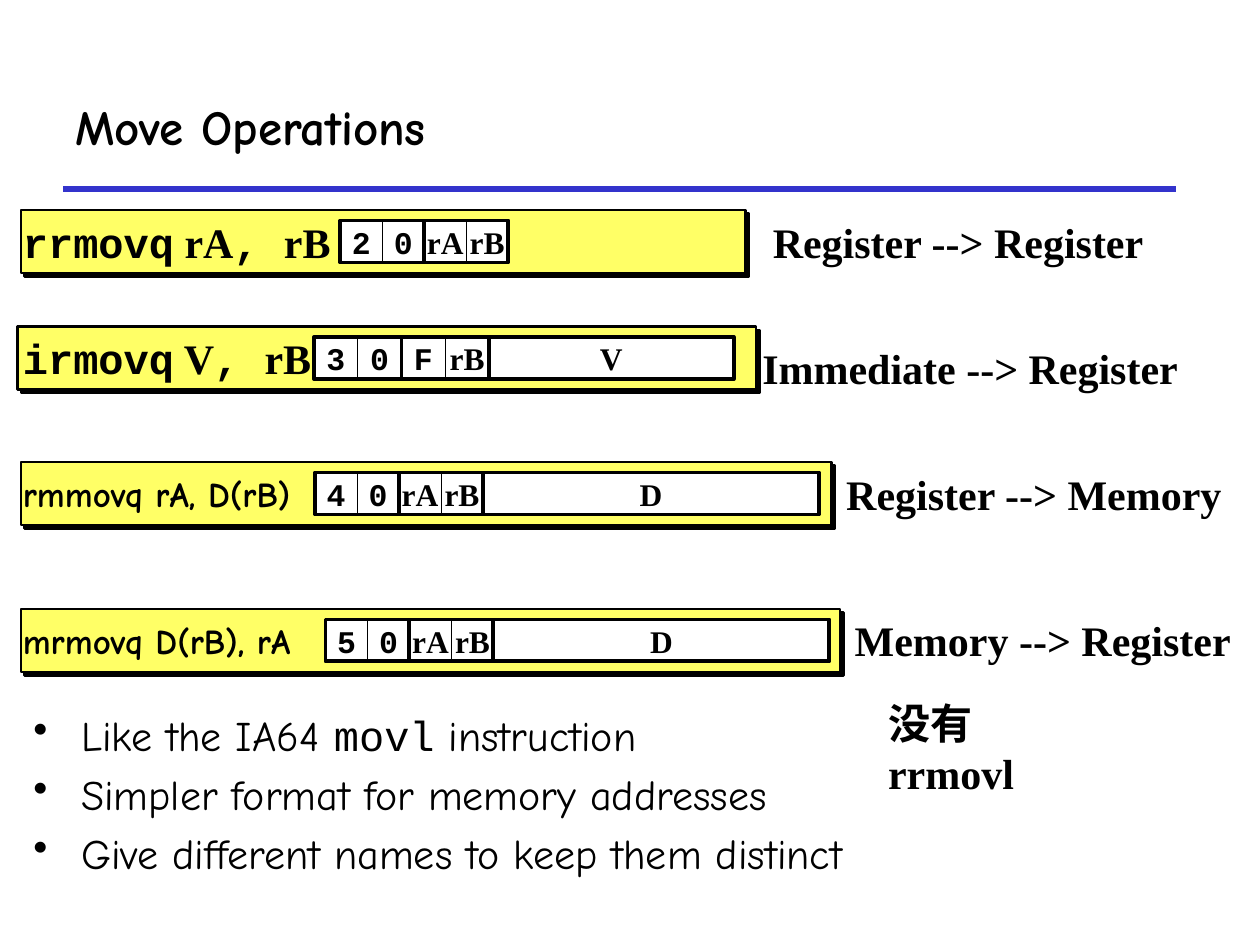
from lxml.etree import SubElement
from pptx import Presentation
from pptx.dml.color import RGBColor
from pptx.enum.shapes import MSO_CONNECTOR, MSO_SHAPE
from pptx.enum.text import MSO_ANCHOR, MSO_AUTO_SIZE, PP_ALIGN
from pptx.oxml.ns import qn
from pptx.util import Inches, Pt

COLORS = {"ink": "000000", "bar": "FFFF66", "cell": "FFFFFF", "rule": "3333CC"}
COMIC, MONO, SERIF = "Comic Neue", "Courier New", "Times New Roman"
COLS, ROWS = 120, 90


def grid(*cells):
    """Turn grid columns or rows, twelve to the inch, into lengths."""
    return [Inches(n / 12) for n in cells]


def rgb(name):
    """Look up a named colour."""
    return RGBColor.from_string(COLORS[name])


def put_text(sp, paragraphs, size=24, bold=True, align=PP_ALIGN.LEFT,
             anchor=MSO_ANCHOR.MIDDLE, margin=0.1, wrap=False, grow=False, bullet=False):
    """Fill a shape with paragraphs, each a list of (text, font) runs."""
    tf = sp.text_frame
    tf.word_wrap = wrap
    tf.auto_size = MSO_AUTO_SIZE.SHAPE_TO_FIT_TEXT if grow else MSO_AUTO_SIZE.NONE
    tf.vertical_anchor = anchor
    tf.margin_left = tf.margin_right = Inches(margin)
    tf.margin_top = tf.margin_bottom = Inches(0.05)
    for i, runs in enumerate(paragraphs):
        p = tf.add_paragraph() if i else tf.paragraphs[0]
        p.alignment = align
        if bullet:
            pPr = p._p.get_or_add_pPr()
            pPr.set("marL", str(Inches(0.38)))
            pPr.set("indent", str(-Inches(0.38)))
            SubElement(pPr, qn("a:buChar"), char="•")
        if i:
            p.space_before = Pt(size * 0.2)
        for text, font in runs:
            r = p.add_run()
            r.text = text
            r.font.name, r.font.size, r.font.bold = font, Pt(size), bold
            r.font.color.rgb = rgb("ink")


def add_text(slide, box, paragraphs, **fmt):
    """Add a text box on the grid."""
    put_text(slide.shapes.add_textbox(*grid(*box)), paragraphs, **fmt)


def add_box(slide, box, fill=None, line=2.25):
    """Add an outlined rectangle on the grid."""
    sp = slide.shapes.add_shape(MSO_SHAPE.RECTANGLE, *grid(*box))
    sp.shadow.inherit = False
    if fill:
        sp.fill.solid()
        sp.fill.fore_color.rgb = rgb(fill)
    else:
        sp.fill.background()
    sp.line.color.rgb = rgb("ink")
    sp.line.width = Pt(line)
    return sp


def add_bar(slide, box):
    """Add a yellow bar with a hard drop shadow."""
    sp = add_box(slide, box, "bar", 1.5)
    effects = sp._element.spPr.find(qn("a:effectLst"))
    shadow = SubElement(effects, qn("a:outerShdw"), dist=str(Pt(2.8)), dir="2700000",
                        algn="ctr", rotWithShape="0")
    SubElement(shadow, qn("a:srgbClr"), val=COLORS["ink"])


def add_field(slide, box, text, line=0.5):
    """Add one white field of an encoding."""
    font = SERIF if text in ("rA", "rB", "V", "D") else MONO
    put_text(add_box(slide, box, "cell", line), [[(text, font)]],
             size=18, align=PP_ALIGN.CENTER)


def add_encoding(slide, box, fields, cell, constant, span):
    """Add byte pairs and an optional wide constant from the box's corner."""
    left, top, height = box
    for i, text in enumerate(fields):
        add_field(slide, (left + i * cell, top, cell, height), text)
        if i % 2:
            add_box(slide, (left + (i - 1) * cell, top, 2 * cell, height))
    if constant:
        add_field(slide, (left + len(fields) * cell, top, span, height), constant, 2.25)


def add_instruction(slide, box, code, fields, start, label, label_at,
                    cell=4, constant=None, span=32, size=24):
    """Add an instruction bar with its syntax, encoding and meaning."""
    left, top, width, height = box
    add_bar(slide, box)
    add_text(slide, (1, top + 1, 25, 4), [code], size=size)
    add_encoding(slide, (start, top + 1, 4), fields, cell, constant, span)
    add_text(slide, (*label_at, 42, height), [[(label, SERIF)]],
             anchor=MSO_ANCHOR.TOP, margin=0.05, grow=True)


def add_header(slide, box):
    """Add the title and the rule under it."""
    left, top, width, height = box
    rule = slide.shapes.add_connector(
        MSO_CONNECTOR.STRAIGHT, *grid(left, top + height, left + width, top + height))
    rule.line.color.rgb = rgb("rule")
    rule.line.width = Pt(3)
    SubElement(rule._element.spPr, qn("a:effectLst"))
    add_text(slide, box, [[("Move Operations", COMIC)]], size=28, wrap=True)


def add_notes(slide, box):
    """Add the bulleted remarks."""
    add_text(slide, box, [
        [("Like the IA64 ", COMIC), ("movl", MONO), (" instruction", COMIC)],
        [("Simpler format for memory addresses", COMIC)],
        [("Give different names to keep them distinct", COMIC)],
    ], bold=False, anchor=MSO_ANCHOR.TOP, wrap=True, bullet=True)


def main():
    """Build the slide and save it."""
    prs = Presentation()
    prs.slide_width, prs.slide_height = grid(COLS, ROWS)
    slide = prs.slides.add_slide(prs.slide_layouts[6])
    add_header(slide, (6, 6, 106, 12))
    add_notes(slide, (2, 67, 101, 20.4))
    add_instruction(
        slide, (2, 20, 69, 6),
        [("rrmovq", MONO), (" rA", SERIF), (", ", MONO), ("rB", SERIF)],
        ["2", "0", "rA", "rB"], 32.4, "Register --> Register", (73, 20))
    add_instruction(
        slide, (1.7, 31.1, 70.3, 6),
        [("irmovq", MONO), (" V", SERIF), (", ", MONO), ("rB", SERIF)],
        ["3", "0", "F", "rB"], 29.9, "Immediate --> Register", (72, 32),
        cell=4.17, constant="V", span=23.3)
    add_instruction(
        slide, (2, 44, 77.2, 6), [("rmmovq rA, D(rB)", COMIC)],
        ["4", "0", "rA", "rB"], 30, "Register --> Memory", (80, 44),
        constant="D", size=20)
    add_instruction(
        slide, (2, 58, 78, 6), [("mrmovq D(rB), rA", COMIC)],
        ["5", "0", "rA", "rB"], 31, "Memory --> Register", (80.8, 57.9),
        constant="D", size=20)
    add_text(slide, (83.4, 65.8, 21.5, 6), [[("没有rrmovl", SERIF)]],
             anchor=MSO_ANCHOR.TOP, wrap=True, grow=True)
    prs.save("out.pptx")


if __name__ == "__main__":
    main()
